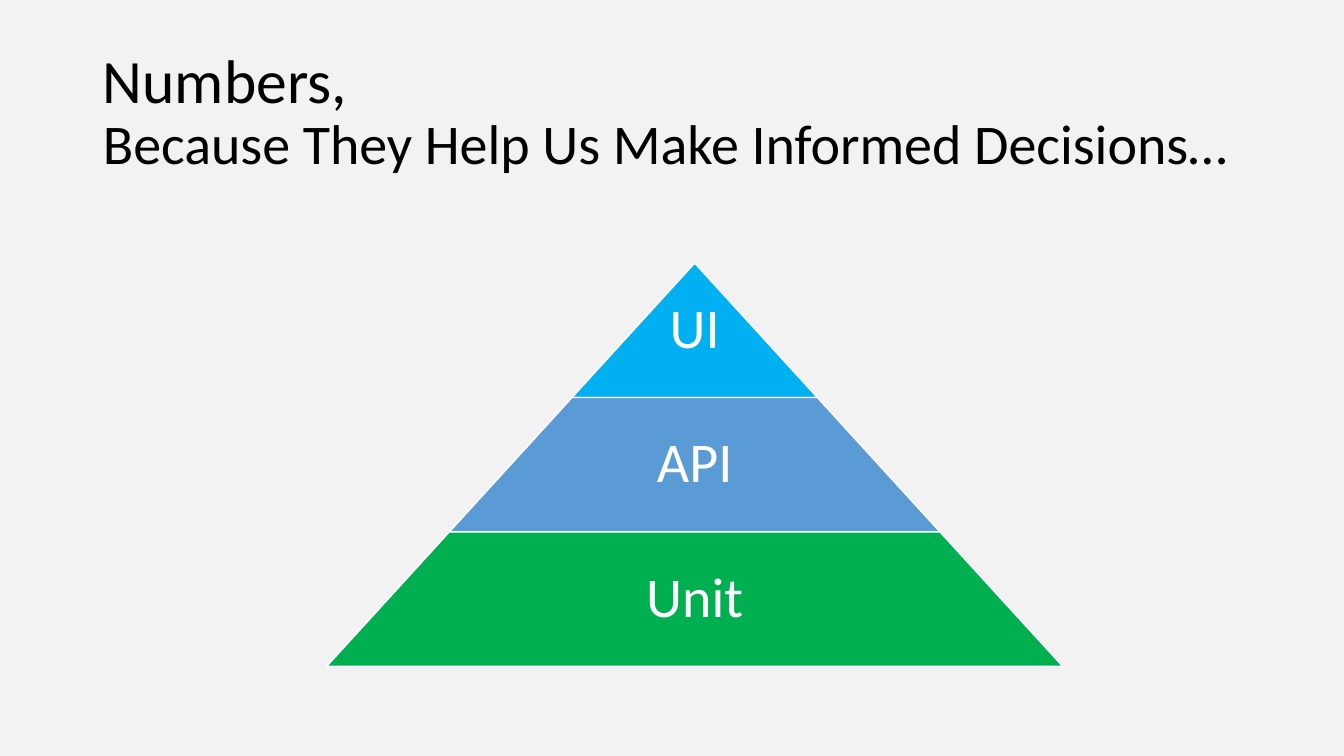
import pptx
import pptx.util
import pptx.dml.color
import pptx.enum.shapes
import pptx.enum.text
from dataclasses import dataclass

TITLE_LINES = [("Numbers, ", 44), ("Because They Help Us Make Informed Decisions…", 40)]
LEVELS = [("UI", "00B0F0", 1), ("API", "5B9BD5", 0.65), ("Unit", "00B050", 0.65)]


@dataclass(frozen=True)
class Theme:
    font: str = "Calibri"
    background: str = "F2F2F2"
    title: str = "000000"
    light: str = "FFFFFF"
    label_size: int = 40
    line_spacing: float = 0.9


THEME = Theme()
SLIDE_SIZE = (13.33, 7.5)
TITLE_AREA = (0.92, 0.4, 11.5, 1.45)
PYRAMID_CENTER, PYRAMID_TOP = 6.89, 2.61
PYRAMID_WIDTH, PYRAMID_HEIGHT = 7.3, 4.0
LABEL_INSET = 0.06


def color(code):
    return pptx.dml.color.RGBColor.from_string(code)


def inches(values):
    return [pptx.util.Inches(value) for value in values]


def style(para, code):
    para.line_spacing = THEME.line_spacing
    para.font.name = THEME.font
    para.font.color.rgb = color(code)


def add_title(page):
    title = page.shapes.title
    title.left, title.top, title.width, title.height = inches(TITLE_AREA)
    frame = title.text_frame
    frame.word_wrap = True
    frame.auto_size = pptx.enum.text.MSO_AUTO_SIZE.NONE
    frame.vertical_anchor = pptx.enum.text.MSO_ANCHOR.MIDDLE
    para = frame.paragraphs[0]
    para.alignment = pptx.enum.text.PP_ALIGN.LEFT
    style(para, THEME.title)
    for index, (text, size) in enumerate(TITLE_LINES):
        if index:
            para.add_line_break()
        span = para.add_run()
        span.text = text
        span.font.size = pptx.util.Pt(size)


def add_level(page, index, name, fill, label_share):
    height = PYRAMID_HEIGHT / len(LEVELS)
    step = PYRAMID_WIDTH / len(LEVELS)
    width = step * (index + 1)
    top = PYRAMID_TOP + index * height

    def area(span_width):
        return inches((PYRAMID_CENTER - span_width / 2, top, span_width, height))

    band = page.shapes.add_shape(pptx.enum.shapes.MSO_SHAPE.TRAPEZOID, *area(width))
    band.adjustments[0] = step / 2 / height
    band.shadow.inherit = False
    band.fill.solid()
    band.fill.fore_color.rgb = color(fill)
    band.line.color.rgb = color(THEME.light)
    band.line.width = pptx.util.Pt(1)

    frame = page.shapes.add_textbox(*area(width * label_share)).text_frame
    frame.word_wrap = True
    frame.vertical_anchor = pptx.enum.text.MSO_ANCHOR.MIDDLE
    inset = pptx.util.Inches(LABEL_INSET)
    frame.margin_left = frame.margin_right = frame.margin_top = frame.margin_bottom = inset
    para = frame.paragraphs[0]
    para.text = name
    para.alignment = pptx.enum.text.PP_ALIGN.CENTER
    style(para, THEME.light)
    para.font.size = pptx.util.Pt(THEME.label_size)


def main():
    deck = pptx.Presentation()
    deck.slide_width, deck.slide_height = inches(SLIDE_SIZE)
    page = deck.slides.add_slide(deck.slide_layouts.get_by_name("Title Only"))
    page.background.fill.solid()
    page.background.fill.fore_color.rgb = color(THEME.background)
    add_title(page)
    for index, level in enumerate(LEVELS):
        add_level(page, index, *level)
    deck.save("out.pptx")


if __name__ == "__main__":
    main()
